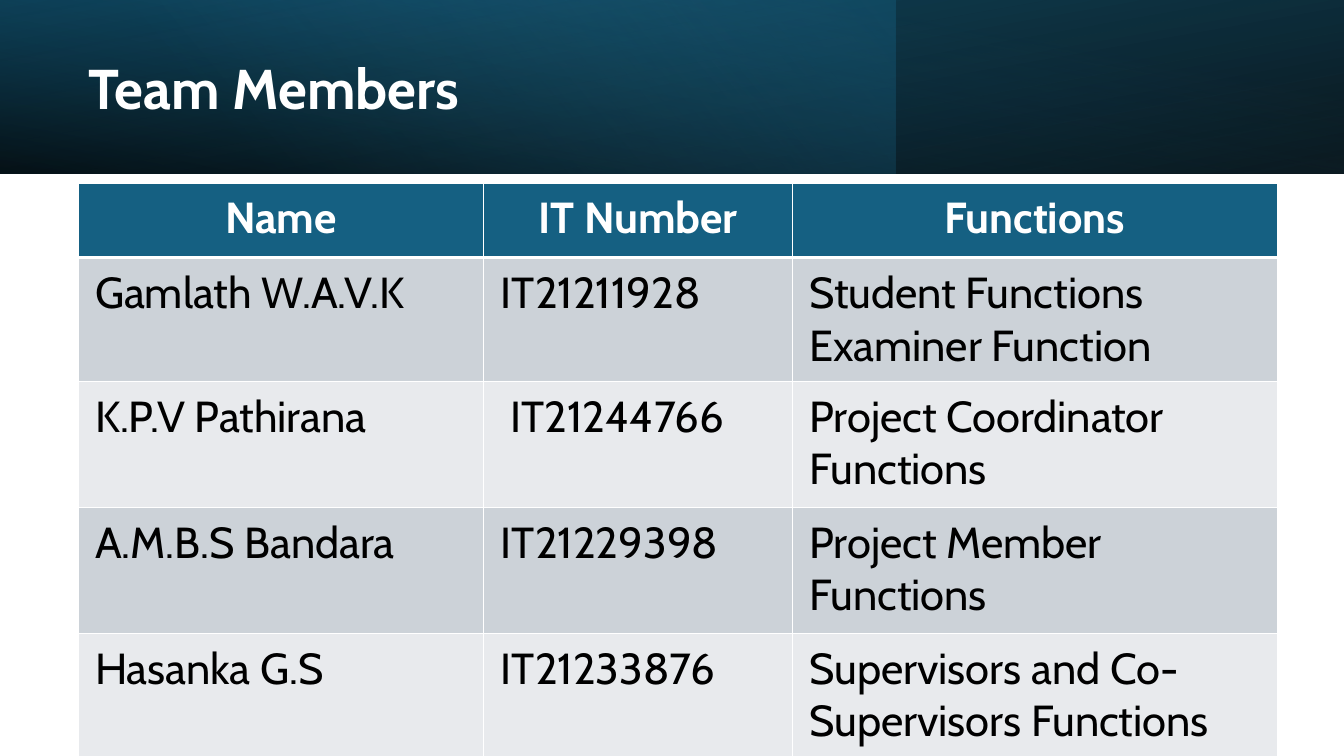
from dataclasses import dataclass

from lxml import etree
from pptx import Presentation
from pptx.dml.color import RGBColor
from pptx.enum.shapes import MSO_SHAPE
from pptx.enum.text import MSO_ANCHOR, PP_ALIGN
from pptx.oxml.ns import qn
from pptx.util import Inches, Pt

RECTANGLE = MSO_SHAPE.RECTANGLE
MIDDLE = MSO_ANCHOR.MIDDLE
LEFT, CENTER = PP_ALIGN.LEFT, PP_ALIGN.CENTER

BLACK = RGBColor(0x00, 0x00, 0x00)
WHITE = RGBColor(0xFF, 0xFF, 0xFF)
NAVY = RGBColor(0x10, 0x48, 0x62)
TEAL = RGBColor(0x15, 0x60, 0x82)
SKY = RGBColor(0x46, 0xB1, 0xE1)
DARK_ROW = RGBColor(0xCC, 0xD2, 0xD8)
LIGHT_ROW = RGBColor(0xE8, 0xEA, 0xED)
FONT = "Cabin"

SLIDE_W, SLIDE_H = Inches(13.333), Inches(7.5)

# Layout in percent of the slide's width or height
MARGIN = 5.8
BANNER_H = 22.93
TABLE_TOP = 24.2
COLUMNS = (30.2, 22.95, 36.08)
ROWS = (9.87, 15.87, 16.67, 16.67, 15.87)


@dataclass
class Stop:
    position: float
    color: RGBColor
    opacity: int


@dataclass
class Band:
    width: float
    stops: tuple[Stop, Stop]
    angle: int  # clockwise degrees
    rotation: int = 0
    flipped: bool = False


BANDS = (
    Band(100, (Stop(0, BLACK, 96), Stop(1, NAVY, 100)), 100, 180, True),
    Band(66.67, (Stop(0, TEAL, 41), Stop(0.74, SKY, 0)), 140),
    Band(100, (Stop(0, BLACK, 63), Stop(0.78, TEAL, 15)), 260, 0, True),
)

HEADER = ("Name", "IT Number", "Functions")
MEMBERS = (
    ("Gamlath W.A.V.K", "IT21211928", "Student Functions\nExaminer Function"),
    ("K.P.V Pathirana", " IT21244766", "Project Coordinator Functions"),
    ("A.M.B.S Bandara", "IT21229398", "Project Member Functions"),
    ("Hasanka G.S", "IT21233876", "Supervisors and Co-Supervisors Functions"),
)


def across(percent: float) -> int:
    return round(SLIDE_W * percent / 100)


def down(percent: float) -> int:
    return round(SLIDE_H * percent / 100)


def add_run(p, text: str, size: int, color: RGBColor, bold: bool) -> None:
    r = p.add_run()
    r.text = text
    r.font.name, r.font.size, r.font.bold = FONT, Pt(size), bold
    r.font.color.rgb = color


def add_band(s, band: Band) -> None:
    sp = s.shapes.add_shape(RECTANGLE, 0, 0, across(band.width), down(BANNER_H))
    sp.shadow.inherit = False
    sp.line.fill.background()
    sp.rotation = band.rotation
    if band.flipped:
        sp._element.spPr.find(qn("a:xfrm")).set("flipH", "1")
    sp.fill.gradient()
    sp.fill.gradient_angle = 360 - band.angle
    for gradient_stop, stop in zip(sp.fill.gradient_stops, band.stops):
        gradient_stop.position = stop.position
        gradient_stop.color.rgb = stop.color
    colors = sp._element.spPr.iter(qn("a:srgbClr"))
    for color, stop in zip(list(colors), band.stops):
        etree.SubElement(color, qn("a:alpha"), val=str(stop.opacity * 1000))


def add_borders(cell, top: int, bottom: int) -> None:
    tc_pr = cell._tc.get_or_add_tcPr()
    widths = {"a:lnL": 1, "a:lnR": 1, "a:lnT": top, "a:lnB": bottom}
    for i, (side, width) in enumerate(widths.items()):
        ln = etree.Element(qn(side), w=str(Pt(width)))
        fill = etree.SubElement(ln, qn("a:solidFill"))
        etree.SubElement(fill, qn("a:srgbClr"), val=str(WHITE))
        tc_pr.insert(i, ln)


def fill_cell(cell, text: str, row: int) -> None:
    is_header = row == 0
    cell.margin_left = cell.margin_right = Inches(0.17)
    cell.margin_top = cell.margin_bottom = Inches(0.09)
    cell.fill.solid()
    band_color = DARK_ROW if row % 2 else LIGHT_ROW
    cell.fill.fore_color.rgb = TEAL if is_header else band_color
    add_borders(cell, 3 if row == 1 else 1, 3 if is_header else 1)
    tf = cell.text_frame
    for i, line in enumerate(text.split("\n")):
        p = tf.add_paragraph() if i else tf.paragraphs[0]
        p.alignment = CENTER if is_header else LEFT
        add_run(p, line, 31, WHITE if is_header else BLACK, is_header)


def add_title(s, text: str) -> None:
    title = s.shapes.title
    title.left, title.top = across(MARGIN), down(3.6)
    title.width, title.height = across(57.9), down(16.93)
    s.shapes._spTree.append(title._element)  # in front of the banner
    tf = title.text_frame
    tf.word_wrap = True
    tf.vertical_anchor = MIDDLE
    p = tf.paragraphs[0]
    p.alignment = LEFT
    p.line_spacing = 0.9
    add_run(p, text, 40, WHITE, True)


def add_member_table(s) -> None:
    table = s.shapes.add_table(
        len(ROWS), len(COLUMNS), across(MARGIN), down(TABLE_TOP),
        across(sum(COLUMNS)), down(sum(ROWS))).table
    table.horz_banding = False
    for column, width in zip(table.columns, COLUMNS):
        column.width = across(width)
    for row, height in zip(table.rows, ROWS):
        row.height = down(height)
    for i, texts in enumerate((HEADER, *MEMBERS)):
        for j, text in enumerate(texts):
            fill_cell(table.cell(i, j), text, i)


def main() -> None:
    prs = Presentation()
    prs.slide_width, prs.slide_height = SLIDE_W, SLIDE_H
    s = prs.slides.add_slide(prs.slide_layouts[5])

    # Banner
    for band in BANDS:
        add_band(s, band)
    add_title(s, "Team Members")

    # Team table
    add_member_table(s)
    prs.save("out.pptx")


if __name__ == "__main__":
    main()
